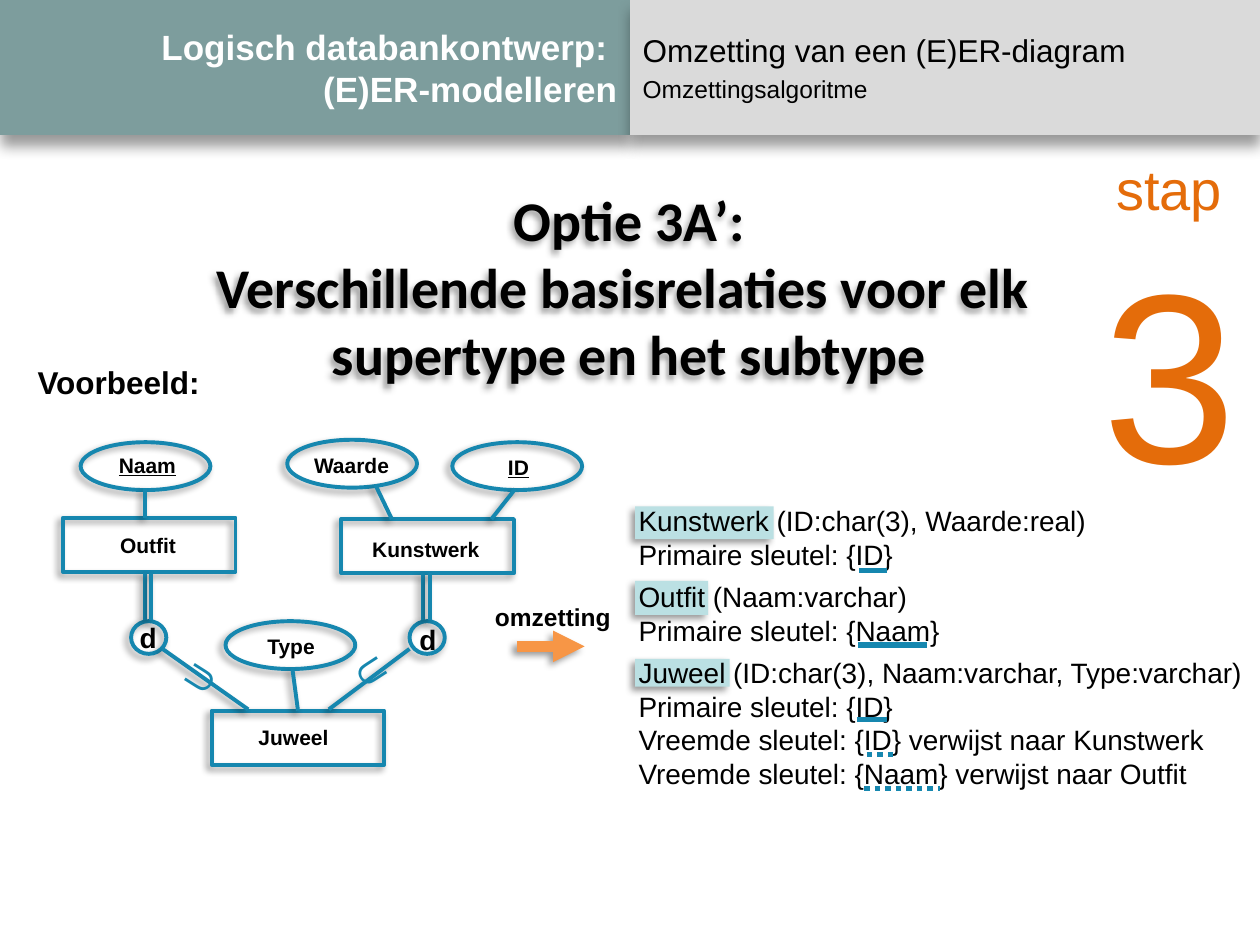
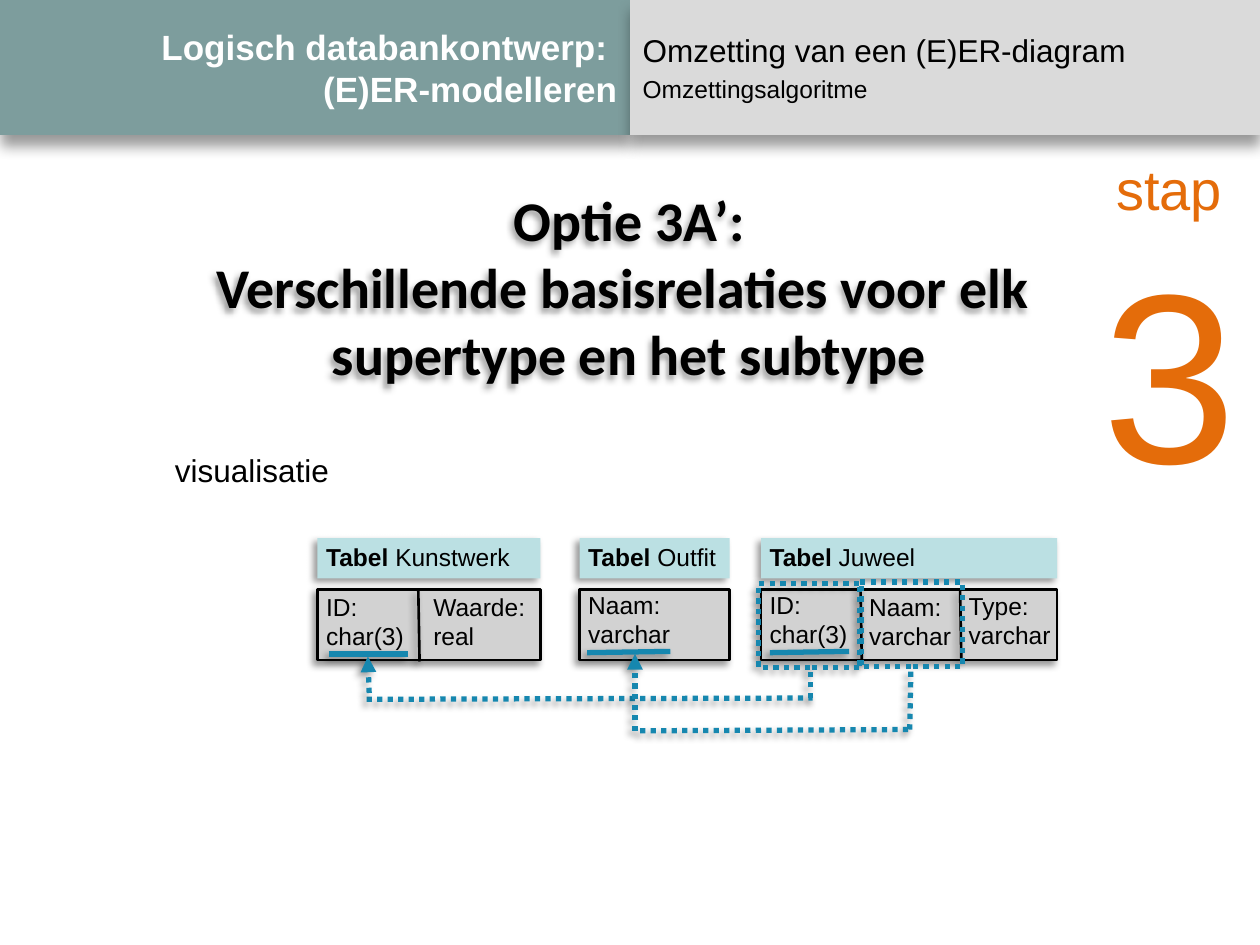
from copy import deepcopy

from lxml import etree
from pptx import Presentation
from pptx import util as u
from pptx.dml.color import RGBColor
from pptx.enum import dml, shapes, text
from pptx.oxml.ns import qn

PX = 9144  # EMU per px, 100 px to the inch

BLACK = RGBColor(0x00, 0x00, 0x00)
WHITE = RGBColor(0xFF, 0xFF, 0xFF)
TEAL = RGBColor(0x7D, 0x9D, 0x9D)
BAND_GREY = RGBColor(0xDA, 0xDA, 0xDA)
CELL_GREY = RGBColor(0xD2, 0xD2, 0xD2)
PALE_BLUE = RGBColor(0xBB, 0xE0, 0xE3)
BLUE = RGBColor(0x16, 0x87, 0xAF)
ORANGE = RGBColor(0xE4, 0x6C, 0x0A)
ARROW_ORANGE = RGBColor(0xF7, 0x96, 0x46)

# Shadows: blur (pt), distance (pt), direction (degrees)
BAND_SHADOW = (8, 6, 90)
SOFT_SHADOW = (4, 3, 135)

LEFT, CENTER, RIGHT = text.PP_ALIGN.LEFT, text.PP_ALIGN.CENTER, text.PP_ALIGN.RIGHT
RECTANGLE, OVAL = shapes.MSO_SHAPE.RECTANGLE, shapes.MSO_SHAPE.OVAL
TOP, BOTTOM = 0, 2


def emu(lengths):
    return [u.Emu(length * PX) for length in lengths]


class Deck:
    """Holds the style and the current slide."""

    def __init__(self):
        self.presentation = Presentation()
        self.presentation.slide_width, self.presentation.slide_height = emu((1000, 750))
        self.slide = None

    def new_slide(self):
        self.slide = self.presentation.slides.add_slide(self.presentation.slide_layouts[1])
        title = self.band(self.slide.shapes.title, (0, 0, 500, 107), TEAL)
        title.text_frame.text = "Logisch databankontwerp: \v(E)ER-modelleren"
        self.format(title.text_frame.paragraphs[0], 20, WHITE, bold=True, align=RIGHT)

        body = self.band(self.slide.placeholders[1], (500, 0, 500, 107), BAND_GREY)
        body.text_frame.text = "Omzetting van een (E)ER-diagram\nOmzettingsalgoritme"
        for paragraph, size, gap in zip(body.text_frame.paragraphs, (18, 14), (0, 3)):
            properties = paragraph._p.get_or_add_pPr()
            properties.set("marL", "0")
            properties.set("indent", "0")
            etree.SubElement(properties, qn("a:buNone"))
            paragraph.space_before = u.Pt(gap)
            self.format(paragraph, size)

        # Step number and heading
        step = self.label((863, 118, 130, 296), "stap\n3", 32, ORANGE, align=CENTER)
        step.text_frame.paragraphs[1].runs[0].font.size = u.Pt(138)
        heading = self.label(
            (159, 142, 681, 172),
            "Optie 3A’:\vVerschillende basisrelaties voor elk \nsupertype en het subtype",
            32, bold=True, align=CENTER, font="Calibri")
        self.effects(heading, SOFT_SHADOW)

    def band(self, placeholder, box, color):
        placeholder.left, placeholder.top, placeholder.width, placeholder.height = emu(box)
        placeholder.fill.solid()
        placeholder.fill.fore_color.rgb = color
        self.effects(placeholder, BAND_SHADOW)
        frame = placeholder.text_frame
        frame.auto_size = text.MSO_AUTO_SIZE.NONE
        frame.vertical_anchor = text.MSO_ANCHOR.MIDDLE
        return placeholder

    def effects(self, shape, shadow):
        effect_list = etree.SubElement(shape._element.spPr, qn("a:effectLst"))
        if shadow:
            blur, distance, direction = shadow
            outer = etree.SubElement(
                effect_list, qn("a:outerShdw"), blurRad=str(blur * 12700),
                dist=str(distance * 12700), dir=str(direction * 60000),
                algn="ctr", rotWithShape="0")
            color = etree.SubElement(outer, qn("a:srgbClr"), val=str(BLACK))
            etree.SubElement(color, qn("a:alpha"), val="40000")

    def format(self, paragraph, size, color=BLACK, bold=False, underline=False,
               align=LEFT, font="Arial"):
        paragraph.alignment = align
        for run in paragraph.runs:
            run.font.name = font
            run.font.size = u.Pt(size)
            run.font.bold = bold
            run.font.underline = underline
            run.font.color.rgb = color
        for line_break in paragraph._p.findall(qn("a:br")):
            line_break.append(deepcopy(paragraph.runs[0]._r.rPr))

    def label(self, box, words, size, color=BLACK, wrap=False, rotation=0, **style):
        shape = self.slide.shapes.add_textbox(*emu(box))
        shape.rotation = rotation
        frame = shape.text_frame
        frame.word_wrap = wrap
        frame.auto_size = text.MSO_AUTO_SIZE.SHAPE_TO_FIT_TEXT
        frame.text = words
        for paragraph in frame.paragraphs:
            self.format(paragraph, size, color, **style)
        return shape

    def stroke(self, line, color, width, dotted):
        line.color.rgb = color
        line.width = u.Pt(width)
        if dotted:
            line.dash_style = dml.MSO_LINE.ROUND_DOT

    def shape(self, kind, box, fill=None, line=None, width=2.25, dotted=False,
              shadow=SOFT_SHADOW):
        shape = self.slide.shapes.add_shape(kind, *emu(box))
        if fill is None:
            shape.fill.background()
        else:
            shape.fill.solid()
            shape.fill.fore_color.rgb = fill
        if line is None:
            shape.line.fill.background()
        else:
            self.stroke(shape.line, line, width, dotted)
        self.effects(shape, shadow)
        return shape

    def line(self, ends, color=BLUE, width=2.25, dotted=False, arrow=False,
             shadow=SOFT_SHADOW):
        connector = self.slide.shapes.add_connector(shapes.MSO_CONNECTOR.STRAIGHT, *emu(ends))
        self.stroke(connector.line, color, width, dotted)
        if arrow:
            etree.SubElement(connector.line._get_or_add_ln(), qn("a:tailEnd"), type="triangle")
        self.effects(connector, shadow)
        return connector


def example_slide(deck):
    deck.new_slide()
    deck.label((20, 283, 150, 40), "Voorbeeld:", 18, bold=True)

    # Attributes: ellipse corner, label box, key or not
    for name, left, top, label_box, is_key in (
            ("Naam", 64, 351, (84, 354, 66, 30), True),
            ("Waarde", 228, 349, (239, 354, 80, 30), False),
            ("ID", 359, 351, (393, 356, 37, 30), True),
            ("Type", 179, 493, (202, 498, 58, 30), False)):
        deck.shape(OVAL, (left, top, 103, 38), line=BLUE)
        deck.label(label_box, name, 12, bold=True, underline=is_key, align=CENTER)

    # Entities
    entities = {}
    for name, left, top, label_box in (
            ("Outfit", 50, 411, (85, 418, 65, 30)),
            ("Kunstwerk", 271, 412, (285, 421, 106, 30)),
            ("Juweel", 168, 564, (195, 570, 76, 30))):
        entities[name] = deck.shape(RECTANGLE, (left, top, 137, 43), line=BLUE)
        deck.label(label_box, name, 12, bold=True, align=CENTER)

    # Links from attributes to entities
    for ends in ((115, 411, 115, 387), (311, 412, 298, 385), (390, 412, 409, 388)):
        deck.line(ends)
    deck.line((236, 564, 232, 530)).begin_connect(entities["Juweel"], TOP)

    # Specialisations: disjoint circle, double line up, subset line down
    for circle_left, line_left, label_left, label_top, subset_line, subset_left, subset_top, angle in (
            (104, 115, 101, 488, (197, 563, 129, 515), 134, 511, 302.3),
            (325, 336, 323, 489, (261, 563, 325, 515), 275, 508, 57.1)):
        deck.shape(OVAL, (circle_left, 493, 28, 26), line=BLUE)
        deck.label((label_left, label_top, 34, 37), "d", 16, bold=True)
        for x in (line_left, line_left + 5):
            deck.line((x, 492, x, 455))
        deck.line(subset_line)
        deck.label((subset_left, subset_top, 46, 50), "∪", 24, BLUE, rotation=angle, bold=True)

    # Conversion arrow
    deck.line((410, 513, 464, 513), ARROW_ORANGE, 6, arrow=True)
    deck.label((383, 473, 113, 34), "omzetting", 14, bold=True)

    # Resulting relations
    for top, width, height in ((402, 110, 26), (461, 58, 27), (523, 75, 22)):
        deck.shape(RECTANGLE, (504, top, width, height), PALE_BLUE)
    relations = deck.label((497, 395, 503, 266), "\n".join((
        "Kunstwerk (ID:char(3), Waarde:real)",
        "Primaire sleutel: {ID}",
        "Outfit (Naam:varchar)",
        "Primaire sleutel: {Naam}",
        "Juweel (ID:char(3), Naam:varchar, Type:varchar)",
        "Primaire sleutel: {ID}",
        "Vreemde sleutel: {ID} verwijst naar Kunstwerk",
        "Vreemde sleutel: {Naam} verwijst naar Outfit")), 16, wrap=True)
    for index in (2, 4):
        relations.text_frame.paragraphs[index].space_before = u.Pt(5)

    # Solid underline for primary keys, dotted for foreign keys
    for start, end, y, is_foreign in (
            (682, 704, 453, False), (681, 736, 512, False), (680, 704, 571, False),
            (688, 711, 599, True), (686, 746, 626, True)):
        deck.line((start, y, end, y), width=3, dotted=is_foreign, shadow=None)


def visual_slide(deck):
    deck.new_slide()
    deck.label((129, 353, 142, 40), "visualisatie", 18)

    # Tables: header, frame, column dividers
    for name, left, width, caption_width, dividers in (
            ("Kunstwerk", 252, 177, 167, (332,)),
            ("Outfit", 460, 119, 122, ()),
            ("Juweel", 604, 235, 136, (683, 762))):
        deck.shape(RECTANGLE, (left, 427, width, 32), PALE_BLUE)
        caption = deck.label((left - 3, 425, caption_width, 34), "Tabel ", 14)
        paragraph = caption.text_frame.paragraphs[0]
        paragraph.add_run().text = name
        deck.format(paragraph, 14)
        paragraph.runs[0].font.bold = True
        deck.shape(RECTANGLE, (left, 468, width, 56), CELL_GREY, BLACK, 1.5)
        for x in dividers:
            deck.line((x, 468, x + 1, 525), BLACK, 1.5)

    # Columns
    for left, top, width, words in (
            (249, 465, 86, "ID:\nchar(3)"), (334, 465, 95, "Waarde:\nreal"),
            (457, 463, 86, "Naam:\nvarchar"), (601, 463, 86, "ID:\nchar(3)"),
            (680, 465, 86, "Naam:\nvarchar"), (759, 464, 86, "Type:\nvarchar")):
        deck.label((left, top, width, 57), words, 14)

    # Primary keys
    for ends in ((261, 519, 324, 519), (466, 518, 532, 517), (611, 518, 674, 517)):
        deck.line(ends, width=3)

    # Foreign keys: dotted box, then a path to the referenced key
    for box, shadow, down, across, up in (
            ((602, 463, 82, 67), SOFT_SHADOW, (643, 554, 645, 530),
             (291, 555, 645, 554), (293, 550, 292, 521)),
            ((682, 462, 82, 67), None, (722, 579, 722, 529),
             (508, 580, 724, 579), (504, 580, 504, 519))):
        foreign_key = deck.shape(RECTANGLE, box, line=BLUE, width=3, dotted=True, shadow=shadow)
        deck.line(down, width=3, dotted=True).end_connect(foreign_key, BOTTOM)
        deck.line(across, width=3, dotted=True)
        deck.line(up, width=3, dotted=True, arrow=True)


def main():
    deck = Deck()
    example_slide(deck)
    visual_slide(deck)
    deck.presentation.save("out.pptx")


if __name__ == "__main__":
    main()
